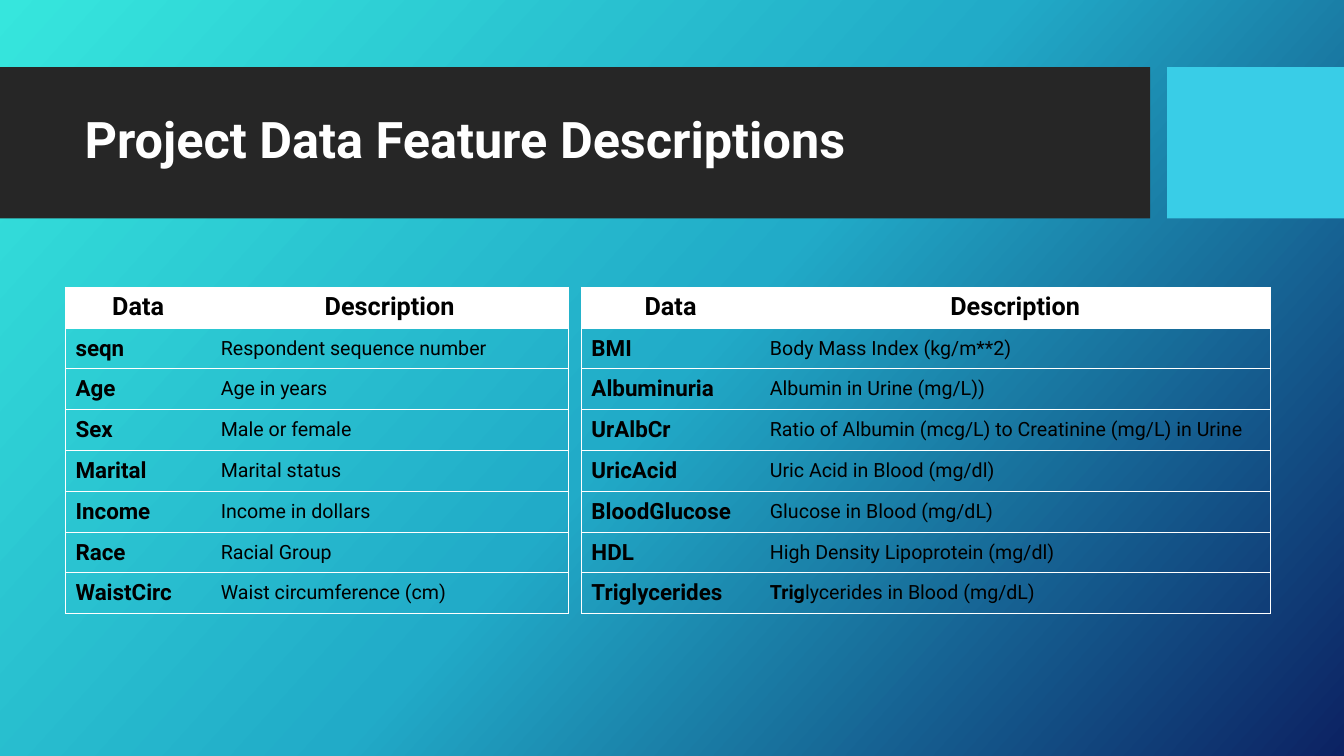
from copy import deepcopy
from dataclasses import dataclass

from lxml.etree import SubElement
from pptx import Presentation
from pptx.dml.color import RGBColor
from pptx.enum.shapes import MSO_SHAPE
from pptx.enum.text import MSO_ANCHOR, MSO_AUTO_SIZE, PP_ALIGN
from pptx.oxml.ns import qn
from pptx.util import Pt


@dataclass(frozen=True)
class Theme:
    font: str = "Roboto"
    gradient: tuple = ((0, "36E6DD"), (0.5, "21ABC8"), (1, "0C2263"))
    gradient_angle: int = 42
    banner: str = "262626"
    accent: str = "39CDE7"
    light: str = "FFFFFF"
    dark: str = "000000"
    title_size: int = 36
    header_size: int = 18
    name_size: int = 16
    description_size: int = 14
    border_width: float = 0.75


THEME = Theme()
TABLE_TOP = 205.2
ROW_HEIGHT = 29.16
HEADINGS = ("Data", "Description")
PERSONAL_FEATURES = (
    ("seqn", "Respondent sequence number"),
    ("Age", "Age in years"),
    ("Sex", "Male or female"),
    ("Marital", "Marital status"),
    ("Income", "Income in dollars"),
    ("Race", "Racial Group"),
    ("WaistCirc", "Waist circumference (cm)"),
)
MEDICAL_FEATURES = (
    ("BMI", "Body Mass Index (kg/m**2)"),
    ("Albuminuria", "Albumin in Urine (mg/L))"),
    ("UrAlbCr", "Ratio of Albumin (mcg/L) to Creatinine (mg/L) in Urine"),
    ("UricAcid", "Uric Acid in Blood (mg/dl)"),
    ("BloodGlucose", "Glucose in Blood (mg/dL)"),
    ("HDL", "High Density Lipoprotein (mg/dl)"),
    ("Triglycerides", "Triglycerides in Blood (mg/dL)"),
)
BOLD_START = {"Triglycerides in Blood (mg/dL)": "Trig"}


def paint_background(page):
    fill = page.background.fill
    fill.gradient()
    fill.gradient_angle = 360 - THEME.gradient_angle
    stop_list = page.element.find(".//" + qn("a:gsLst"))
    stop_list.append(deepcopy(stop_list[-1]))
    for stop, (position, color) in zip(fill.gradient_stops, THEME.gradient):
        stop.position = position
        stop.color.rgb = RGBColor.from_string(color)


def format_span(span, size, color, bold):
    span.font.name = THEME.font
    span.font.size = Pt(size)
    span.font.bold = bold
    span.font.color.rgb = RGBColor.from_string(color)


def add_bar(page, left, width, color):
    bar = page.shapes.add_shape(MSO_SHAPE.RECTANGLE, Pt(left), Pt(48), Pt(width), Pt(108))
    bar.shadow.inherit = False
    bar.fill.solid()
    bar.fill.fore_color.rgb = RGBColor.from_string(color)
    bar.line.fill.background()
    page.shapes.title.element.addprevious(bar.element)


def set_title(page, text):
    title = page.shapes.title
    title.left, title.top, title.width, title.height = Pt(53.28), Pt(59), Pt(756.72), Pt(85)
    frame = title.text_frame
    frame.text = text
    frame.word_wrap = True
    frame.auto_size = MSO_AUTO_SIZE.NONE
    frame.vertical_anchor = MSO_ANCHOR.MIDDLE
    para = frame.paragraphs[0]
    para.alignment = PP_ALIGN.LEFT
    para.line_spacing = 0.9
    format_span(para.runs[0], THEME.title_size, THEME.light, True)


def set_borders(cell, hidden_side):
    properties = cell._tc.get_or_add_tcPr()
    for side in ("lnL", "lnR", "lnT", "lnB"):
        line = SubElement(properties, qn("a:" + side), w=str(Pt(THEME.border_width)))
        if side == hidden_side:
            SubElement(line, qn("a:noFill"))
        else:
            fill = SubElement(line, qn("a:solidFill"))
            SubElement(fill, qn("a:srgbClr"), val=THEME.light)


def fill_cell(cell, text, size, bold, is_header):
    para = cell.text_frame.paragraphs[0]
    bold_start = BOLD_START.get(text, "")
    for part, part_bold in ((bold_start, True), (text[len(bold_start):], bold)):
        if part:
            span = para.add_run()
            span.text = part
            format_span(span, size, THEME.dark, part_bold)
    if is_header:
        para.alignment = PP_ALIGN.CENTER
        cell.fill.solid()
        cell.fill.fore_color.rgb = RGBColor.from_string(THEME.light)
    else:
        cell.vertical_anchor = MSO_ANCHOR.MIDDLE
        cell.fill.background()


def add_feature_table(page, left, widths, features):
    rows = (HEADINGS, *features)
    table = page.shapes.add_table(
        len(rows), len(widths), Pt(left), Pt(TABLE_TOP),
        Pt(sum(widths)), Pt(ROW_HEIGHT * len(rows)),
    ).table
    table.horz_banding = False
    table.first_row = False
    for column, width in zip(table.columns, widths):
        column.width = Pt(width)
    for row_index, texts in enumerate(rows):
        table.rows[row_index].height = Pt(ROW_HEIGHT)
        is_header = row_index == 0
        body_sizes = (THEME.name_size, THEME.description_size)
        for column_index, text in enumerate(texts):
            cell = table.cell(row_index, column_index)
            is_name = column_index == 0
            size = THEME.header_size if is_header else body_sizes[column_index]
            set_borders(cell, "lnR" if is_name else "lnL")
            fill_cell(cell, text, size, is_header or is_name, is_header)


def main():
    deck = Presentation()
    deck.slide_width, deck.slide_height = Pt(960), Pt(540)
    page = deck.slides.add_slide(deck.slide_layouts[5])
    paint_background(page)
    add_bar(page, 0, 821.5, THEME.banner)
    add_bar(page, 833.75, 126.25, THEME.accent)
    set_title(page, "Project Data Feature Descriptions")
    add_feature_table(page, 415.3, (127.4, 365), MEDICAL_FEATURES)
    add_feature_table(page, 46.8, (103.7, 255.6), PERSONAL_FEATURES)
    deck.save("out.pptx")


if __name__ == "__main__":
    main()
